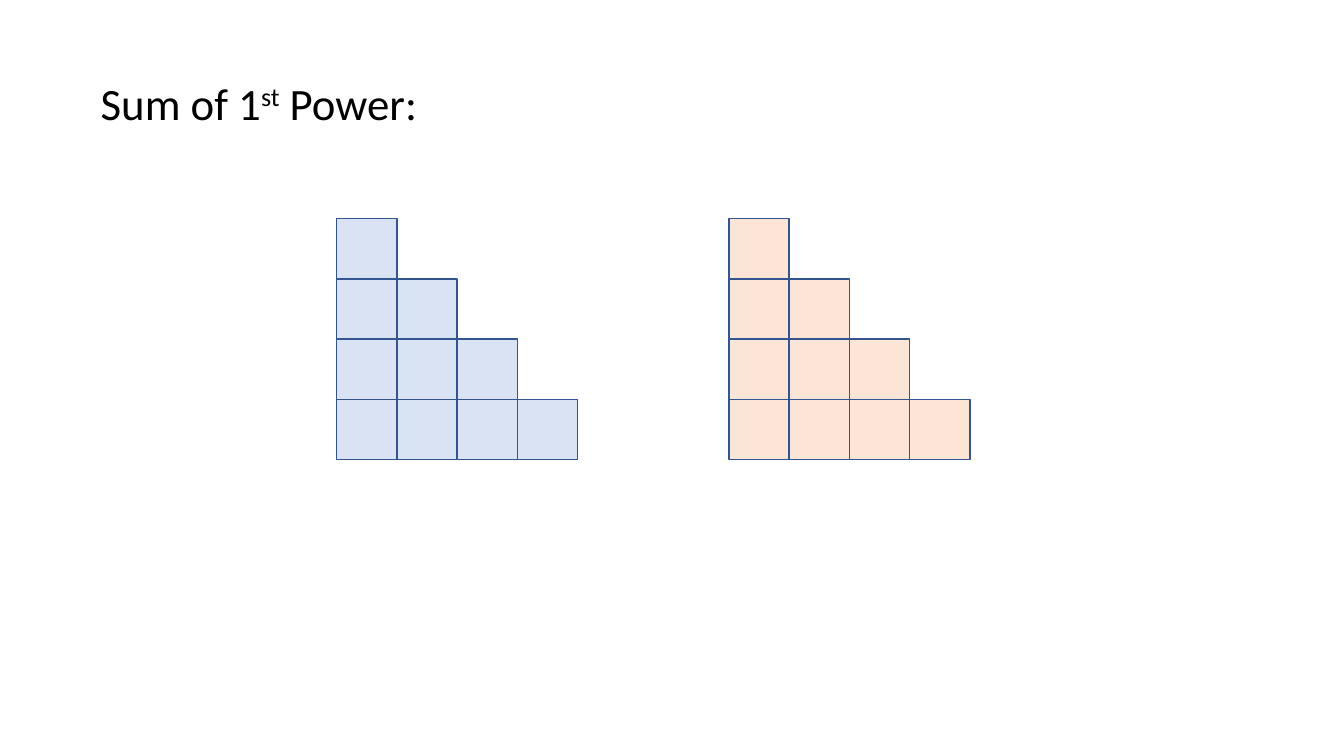
from pptx import Presentation
from pptx.dml.color import RGBColor
from pptx.enum.shapes import MSO_SHAPE
from pptx.enum.text import MSO_AUTO_SIZE
from pptx.util import Inches, Pt

COLORS = {"blue": "DAE3F3", "peach": "FBE5D6", "edge": "325491", "text": "000000"}
STEPS = 4
CELL = 2.39 / STEPS  # side of one square, in inches
TOP = 2.17


def color(name):
    return RGBColor.from_string(COLORS[name])


def add_cell(group, left, top, fill):
    cell = group.shapes.add_shape(
        MSO_SHAPE.RECTANGLE, *map(Inches, (left, top, CELL, CELL)))
    cell.shadow.inherit = False
    cell.fill.solid()
    cell.fill.fore_color.rgb = color(fill)
    cell.line.color.rgb = color("edge")
    cell.line.width = Pt(1)


def add_stairs(slide, left, fill):
    group = slide.shapes.add_group_shape()
    for col in range(STEPS):
        for row in range(col, STEPS):
            add_cell(group, left + col * CELL, TOP + row * CELL, fill)


def add_title(slide, parts):
    box = slide.shapes.add_textbox(*map(Inches, (0.9, 0.7, 9.35, 0.64)))
    frame = box.text_frame
    frame.word_wrap = True
    frame.auto_size = MSO_AUTO_SIZE.SHAPE_TO_FIT_TEXT
    style = {"name": "Calibri", "size": Pt(32)}
    for text, raised in parts:
        run = frame.paragraphs[0].add_run()
        run.text = text
        for key, value in style.items():
            setattr(run.font, key, value)
        run.font.color.rgb = color("text")
        if raised:
            run._r.get_or_add_rPr().set("baseline", "30000")


def main():
    deck = Presentation()
    deck.slide_width, deck.slide_height = Inches(13.33), Inches(7.5)
    slide = deck.slides.add_slide(deck.slide_layouts[6])

    # Two equal staircases of unit squares
    add_stairs(slide, 3.34, "blue")
    add_stairs(slide, 7.23, "peach")

    # Heading with a raised ordinal
    add_title(slide, [("Sum of 1", False), ("st", True), (" Power:", False)])

    deck.save("out.pptx")


if __name__ == "__main__":
    main()
